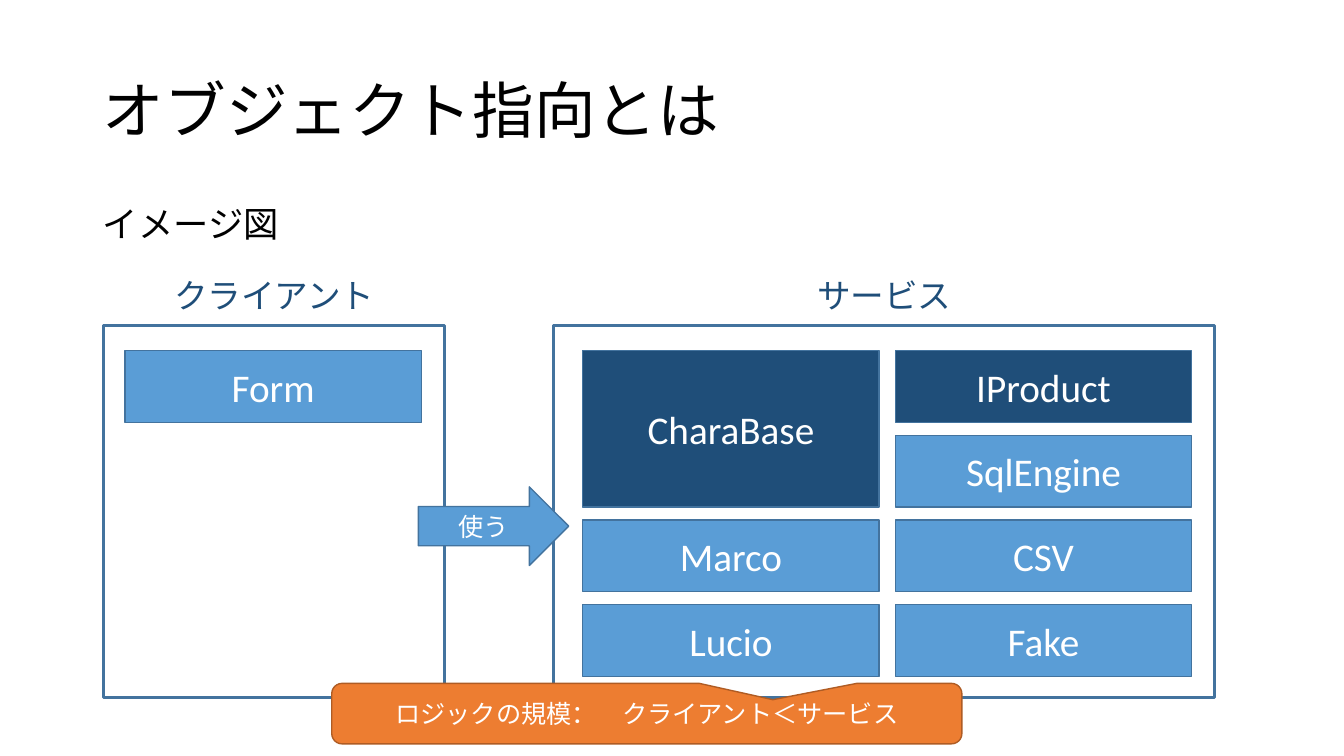
"""Build the slide that shows a client using the classes of a service."""
from lxml import etree
from pptx import Presentation
from pptx.dml.color import RGBColor
from pptx.enum.shapes import MSO_SHAPE as SHAPE
from pptx.enum.text import MSO_ANCHOR as ANCHOR, MSO_AUTO_SIZE as AUTOSIZE, PP_ALIGN as ALIGN
from pptx.oxml.ns import qn
from pptx.util import Inches, Pt

BLACK = RGBColor(0x00, 0x00, 0x00)
WHITE = RGBColor(0xFF, 0xFF, 0xFF)
NAVY = RGBColor(0x1F, 0x4E, 0x79)
BLUE = RGBColor(0x5A, 0x9D, 0xD6)
EDGE = RGBColor(0x43, 0x73, 0x9E)
ORANGE = RGBColor(0xED, 0x7D, 0x31)
RUST = RGBColor(0xAF, 0x5C, 0x24)
LATIN, JAPANESE = "Calibri", "Noto Sans CJK JP"


def write(sp, text, size, color, align=ALIGN.CENTER, anchor=ANCHOR.MIDDLE, spacing=None, before=0):
    tf = sp.text_frame
    tf.text = text
    tf.word_wrap = True
    tf.auto_size = AUTOSIZE.NONE
    tf.vertical_anchor = anchor
    p = tf.paragraphs[0]
    p.alignment = align
    p.line_spacing = spacing
    p.space_before = Pt(before)
    r = p.runs[0]
    r.font.size = Pt(size)
    r.font.color.rgb = color
    r.font.name = LATIN if text.isascii() else JAPANESE
    etree.SubElement(r.font._element, qn("a:ea"), typeface=JAPANESE)
    return p


def add_box(kind, x, y, w, h, fill, edge=EDGE, width=1):
    sp = s.shapes.add_shape(kind, Inches(x), Inches(y), Inches(w), Inches(h))
    sp.shadow.inherit = False
    if fill is None:
        sp.fill.background()
    else:
        sp.fill.solid()
        sp.fill.fore_color.rgb = fill
    sp.line.color.rgb = edge
    sp.line.width = Pt(width)
    return sp


prs = Presentation()
prs.slide_width, prs.slide_height = Inches(13.33), Inches(7.5)
s = prs.slides.add_slide(prs.slide_layouts[1])

title, body = s.placeholders
title.left, title.top, title.width, title.height = map(Inches, (0.92, 0.4, 11.5, 1.45))
write(title, "オブジェクト指向とは", 44, BLACK, ALIGN.LEFT, spacing=0.9)
body.left, body.top, body.width, body.height = map(Inches, (0.92, 2, 2.37, 0.55))
p = write(body, "イメージ図", 25.2, BLACK, ALIGN.LEFT, ANCHOR.TOP, 0.9, 10)
pPr = p._p.get_or_add_pPr()
pPr.set("marL", "0")
pPr.set("indent", "0")
etree.SubElement(pPr, qn("a:buNone"))

FRAME_TOP, FRAME_H, LABEL_H = 3.23, 3.69, 0.55
for name, x, w in (("クライアント", 1.03, 3.38), ("サービス", 5.49, 6.56)):
    add_box(SHAPE.RECTANGLE, x, FRAME_TOP, w, FRAME_H, None, width=2.25)
    label = s.shapes.add_textbox(
        Inches(x), Inches(FRAME_TOP - LABEL_H), Inches(w), Inches(LABEL_H))
    write(label, name, 24, NAVY, spacing=0.9, before=10)

COLUMNS = (1.24, 5.78, 8.88)
ROW_TOP, ROW_STEP, TILE_W, TILE_H = 3.48, 0.84, 2.94, 0.71
tiles = (
    ("Form", 0, 0, 1, BLUE),
    ("CharaBase", 1, 0, 2, NAVY),
    ("Marco", 1, 2, 1, BLUE),
    ("Lucio", 1, 3, 1, BLUE),
    ("IProduct", 2, 0, 1, NAVY),
    ("SqlEngine", 2, 1, 1, BLUE),
    ("CSV", 2, 2, 1, BLUE),
    ("Fake", 2, 3, 1, BLUE),
)
for name, col, row, span, fill in tiles:
    tile = add_box(SHAPE.RECTANGLE, COLUMNS[col], ROW_TOP + row * ROW_STEP,
                   TILE_W, TILE_H + (span - 1) * ROW_STEP, fill)
    write(tile, name, 28, WHITE)

arrow = add_box(SHAPE.RIGHT_ARROW, 4.15, 4.83, 1.49, 0.78, BLUE)
write(arrow, "使う", 18, WHITE)

callout = add_box(SHAPE.ROUNDED_RECTANGULAR_CALLOUT, 3.29, 6.78, 6.25, 0.6, ORANGE, RUST)
for i, value in enumerate((0.2, -0.23, 0.17)):
    callout.adjustments[i] = value
write(callout, "ロジックの規模：　クライアント＜サービス", 18, WHITE)

prs.save("out.pptx")
